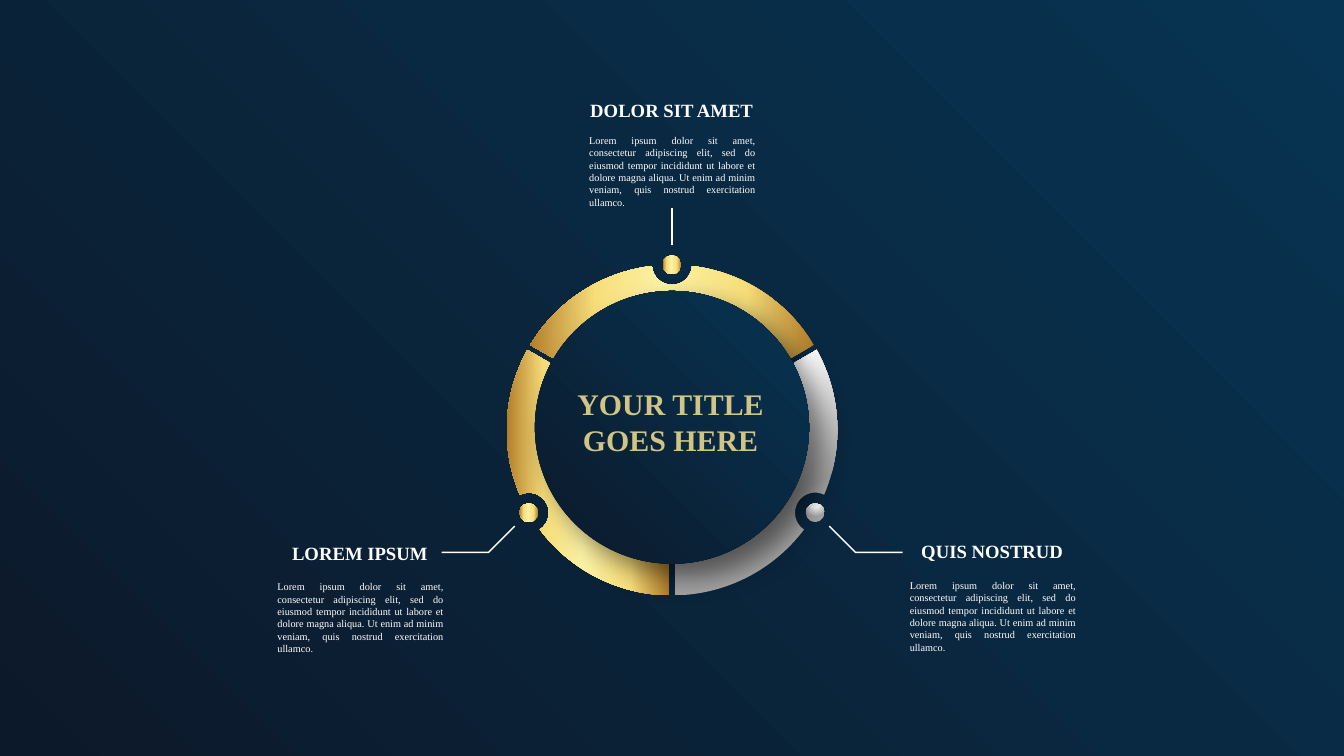
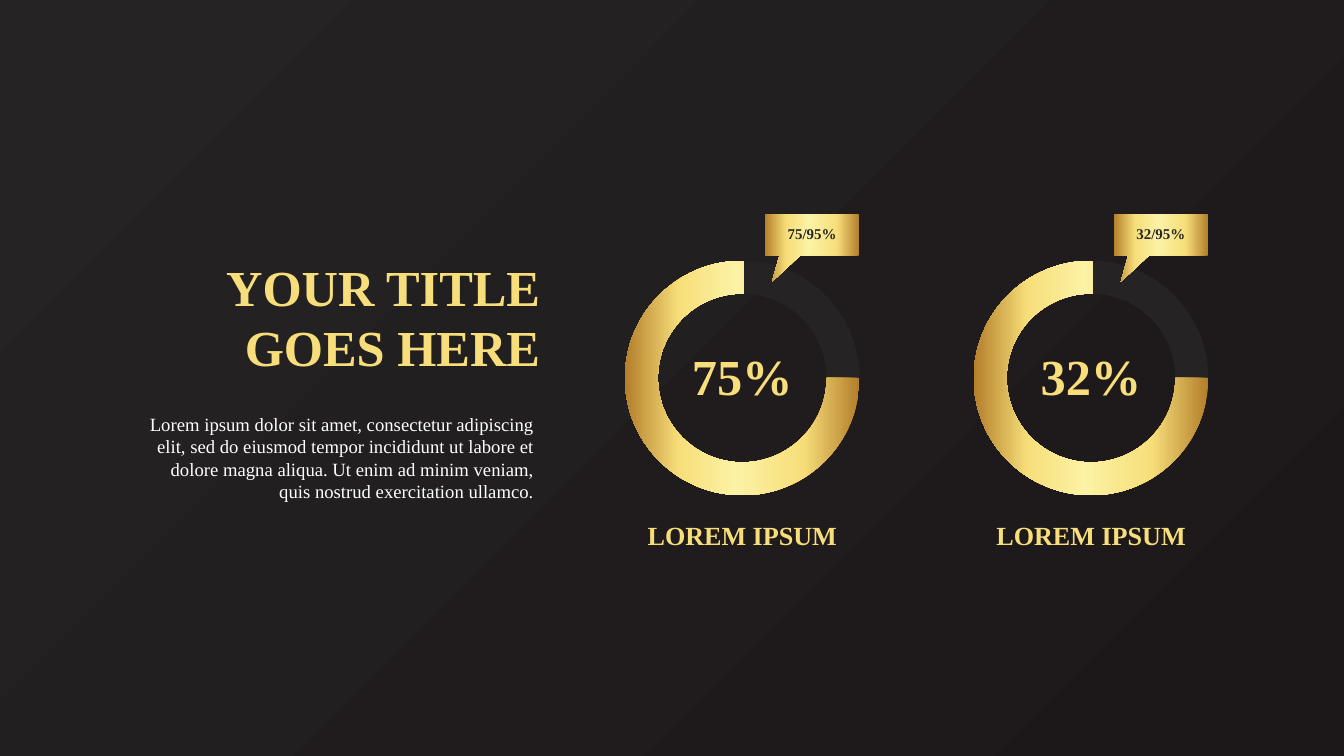
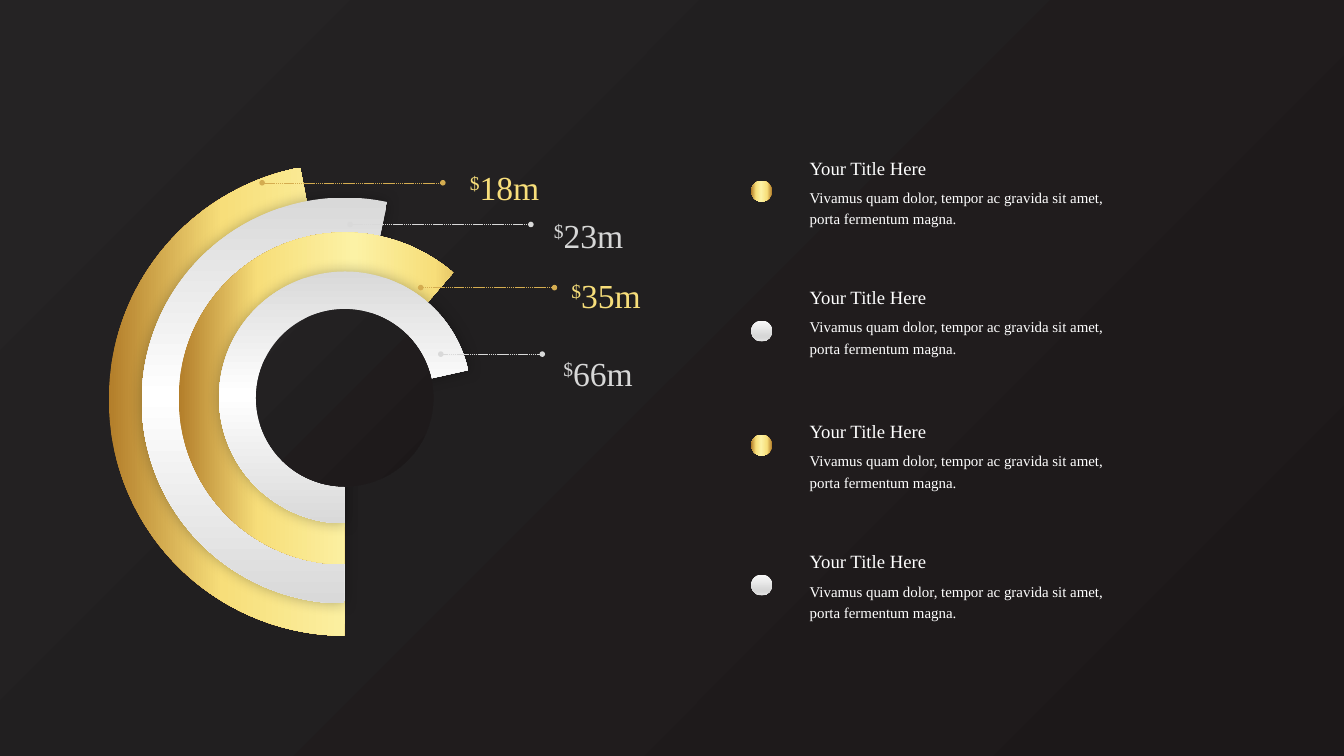
import math

import pptx
import pptx.dml.color
import pptx.enum.dml
import pptx.enum.shapes
import pptx.enum.text
import pptx.oxml
import pptx.oxml.ns
import pptx.util

Inches = pptx.util.Inches
SHAPE = pptx.enum.shapes.MSO_SHAPE
ALIGN = pptx.enum.text.PP_ALIGN
qn = pptx.oxml.ns.qn
NS = pptx.oxml.ns.nsdecls("a")

WHITE = "FFFFFF"
DARK = "252324"
INK = "262626"
BRONZE = "D4AC50"
GREY = "D9D9D9"
PALE_GOLD = "F7DE7A"


def linear(angle, *stops):
    return stops, f'<a:lin ang="{angle * 60000}" scaled="0"/>'


def radial(focus, *stops):
    sides = " ".join(f'{k}="{v * 1000}"' for k, v in zip("ltrb", focus))
    return stops, f'<a:path path="circle"><a:fillToRect {sides}/></a:path>'


GOLD = linear(180, (0, "B37E2A"), (24, PALE_GOLD), (53, "FCF2A5"), (77, PALE_GOLD), (100, "B37E2A"))
SILVER = linear(90, (0, GREY), (49, WHITE), (100, GREY))
PEARL = linear(90, (0, "FAFAFA"), (74, "D7D7D7"), (83, "D7D7D7"), (100, "E4E4E4"))
STEEL = radial((50, -80, 50, 180), (0, WHITE), (35, WHITE), (100, "A5A5A5"))
NAVY = radial((100, 0, 0, 100), (0, "073453"), (100, "0C192A"))
OLD_GOLD = radial((100, 0, 0, 100), (0, "D1C585"), (99, "7E592B"))
CHARCOAL = radial((100, 100, 0, 0), (0, "1C1819"), (100, DARK))

LOREM = ("Lorem ipsum dolor sit amet, consectetur adipiscing elit, sed do eiusmod tempor "
         "incididunt ut labore et dolore magna aliqua. Ut enim ad minim veniam, quis nostrud "
         "exercitation ullamco.")
VIVAMUS = "Vivamus quam dolor, tempor ac gravida sit amet, porta fermentum magna."


def paint(fill, colour):
    if isinstance(colour, str):
        fill.solid()
        fill.fore_color.rgb = pptx.dml.color.RGBColor.from_string(colour)
        return
    stops, direction = colour
    marks = "".join(f'<a:gs pos="{pos * 1000}"><a:srgbClr val="{c}"/></a:gs>' for pos, c in stops)
    xml = f'<a:gradFill {NS} rotWithShape="1"><a:gsLst>{marks}</a:gsLst>{direction}</a:gradFill>'
    fill.background()
    parent = fill._xPr
    parent.replace(parent.find(qn("a:noFill")), pptx.oxml.parse_xml(xml))


def polar(cx, cy, radius, angle):
    a = math.radians(angle)
    return cx + radius * math.cos(a), cy - radius * math.sin(a)


def corners(*points):
    return [(point,) for point in points]


def arc(cx, cy, radius, *angles):
    steps = corners(polar(cx, cy, radius, angles[0]))
    for a, b in zip(angles, angles[1:]):
        reach = 4 / 3 * math.tan(math.radians(b - a) / 4) * radius
        start, end = polar(cx, cy, radius, a), polar(cx, cy, radius, b)
        steps.append((polar(*start, reach, a + 90), polar(*end, reach, b - 90), end))
    return steps


def with_quarters(start, end):
    return [start, *(q for q in range(0, 450, 90) if start < q < end), end]


class Deck:
    font = "Times New Roman"

    def __init__(self):
        self.prs = pptx.Presentation()
        self.prs.slide_width = Inches(20)
        self.prs.slide_height = Inches(11.25)

    def new_slide(self, background):
        self.slide = self.prs.slides.add_slide(self.prs.slide_layouts[6])
        paint(self.slide.background.fill, background)

    def shape(self, kind, at, fill, adjust=(), flip=False, shadow=None):
        s = self.slide.shapes.add_shape(kind, *map(Inches, at))
        for i, value in enumerate(adjust):
            s.adjustments[i] = value
        s.line.fill.background()
        paint(s.fill, fill)
        s.shadow.inherit = False
        if flip:
            s._element.spPr.find(qn("a:xfrm")).set("flipH", "1")
        if shadow:
            alpha, blur, dist, angle = shadow
            s._element.spPr.find(qn("a:effectLst")).append(pptx.oxml.parse_xml(
                f'<a:outerShdw {NS} blurRad="{blur * 12700}" dist="{dist * 12700}" '
                f'dir="{angle * 60000}" algn="ctr" rotWithShape="0"><a:srgbClr val="000000">'
                f'<a:alpha val="{alpha * 1000}"/></a:srgbClr></a:outerShdw>'))

    def outline(self, steps, fill=None, line=None):
        start, *rest = [tuple(map(Inches, step[-1])) for step in steps]
        builder = self.slide.shapes.build_freeform(*start)
        builder.add_line_segments(rest, close=fill is not None)
        s = builder.convert_to_shape()
        straight = list(s._element.iter(qn("a:lnTo")))
        for element, step in zip(straight, steps[1:]):
            if len(step) == 3:
                points = "".join(f'<a:pt x="{Inches(x) - s.left}" y="{Inches(y) - s.top}"/>'
                                 for x, y in step)
                element.getparent().replace(element, pptx.oxml.parse_xml(
                    f"<a:cubicBezTo {NS}>{points}</a:cubicBezTo>"))
        s.shadow.inherit = False
        if fill:
            paint(s.fill, fill)
        else:
            s.fill.background()
        if line:
            paint(s.line.fill, line)
            s.line.width = pptx.util.Pt(1.5)
        else:
            s.line.fill.background()

    def line(self, start, end, colour, width, dotted=False):
        s = self.slide.shapes.add_connector(
            pptx.enum.shapes.MSO_CONNECTOR.STRAIGHT, *map(Inches, (*start, *end)))
        paint(s.line.fill, colour)
        s.line.width = pptx.util.Pt(width)
        if dotted:
            s.line.dash_style = pptx.enum.dml.MSO_LINE.SQUARE_DOT
            for tag in ("headEnd", "tailEnd"):
                s.line._ln.append(pptx.oxml.parse_xml(f'<a:{tag} {NS} type="oval"/>'))
        s._element.spPr.append(pptx.oxml.parse_xml(f"<a:effectLst {NS}/>"))

    def text(self, at, lines, size, colour=WHITE, align=ALIGN.LEFT, bold=False,
             wrap=True, inset=True, spacing=None):
        tf = self.slide.shapes.add_textbox(*map(Inches, at)).text_frame
        tf.word_wrap = wrap
        tf.auto_size = pptx.enum.text.MSO_AUTO_SIZE.SHAPE_TO_FIT_TEXT
        if not inset:
            tf.margin_left = tf.margin_right = tf.margin_top = tf.margin_bottom = 0
        for i, content in enumerate(lines):
            p = tf.add_paragraph() if i else tf.paragraphs[0]
            p.alignment = align
            if spacing:
                p.line_spacing = spacing
            p.font.size = pptx.util.Pt(size)
            p.font.name = self.font
            p.font.bold = bold
            paint(p.font.fill, colour)
            p.add_run().text = content
        return tf

    def amount(self, x, y, value, colour):
        tf = self.text((x, y, 1.96, 0.76), ["$"], 36, colour, ALIGN.CENTER, spacing=1.2)
        p = tf.paragraphs[0]
        p.runs[0]._r.get_or_add_rPr().set("baseline", "30000")
        p.add_run().text = value

    def ring_sector(self, angle, fill):
        cx, cy, radius = 10, 6.4, 2.46
        x, y = polar(cx, cy, radius, angle)
        self.shape(SHAPE.OVAL, (x - 0.14, y - 0.14, 0.28, 0.28), fill)
        self.outline([*corners(polar(cx, cy, 0.06, angle)),
                      *arc(cx, cy, radius, *with_quarters(angle - 59, angle - 7)),
                      *arc(x, y, 0.3, angle - 94, angle - 180, angle - 266),
                      *arc(cx, cy, radius, *with_quarters(angle + 7, angle + 59))], fill)

    def dial(self, x, value):
        size, band = 3.49, 0.49
        radius = size / 2
        cx, top = x + radius, 3.88
        cy = top + radius
        clockwise = (0, -90, -180, -270)
        self.text((x + 0.87, 5.08, 1.75, 1.01), [f"{value}%"], 54, GOLD, ALIGN.CENTER,
                  bold=True, wrap=False)
        self.shape(SHAPE.DONUT, (x, top, size, size), DARK, (band / size,))
        self.outline([*arc(cx, cy, radius, *clockwise),
                      *corners((cx + 0.02, top), (cx + 0.02, top + band)),
                      *arc(cx, cy, radius - band, *reversed(clockwise))], GOLD)
        left, right, roof, floor = x + 2.08, x + size, 3.19, 3.8
        self.outline(corners((right, roof), (left, roof), (left, floor), (left + 0.22, floor),
                             (left + 0.11, 4.19), (left + 0.53, floor), (right, floor)), GOLD)
        self.text((x + 2.27, 3.3, 1.03, 0.37), [f"{value}/95%"], 16, INK, ALIGN.CENTER, bold=True)
        self.text((x, 7.68, size, 0.57), ["LOREM IPSUM"], 28, GOLD, ALIGN.CENTER, bold=True)


def ring_slide(deck):
    deck.new_slide(NAVY)
    for angle, fill in ((90, GOLD), (210, GOLD), (330, STEEL)):
        deck.ring_sector(angle, fill)
    for side in (1, -1):
        deck.outline(corners(*((10 + side * dx, y)
                               for dx, y in ((2.34, 7.83), (2.73, 8.22), (3.43, 8.22)))),
                     line=WHITE)
    deck.line((10, 3.64), (10, 3.09), WHITE, 1.5)
    for x, body_y, title_y, title in ((4.03, 8.59, 8.01, "LOREM IPSUM"),
                                      (8.67, 1.95, 1.42, "DOLOR SIT AMET"),
                                      (13.44, 8.57, 7.99, "QUIS NOSTRUD")):
        deck.text((x, body_y, 2.67, 1.03), [LOREM], 11, align=ALIGN.JUSTIFY)
        deck.text((x - 0.01, title_y, 2.67, 0.44), [title], 20, align=ALIGN.CENTER, bold=True)
    deck.shape(SHAPE.OVAL, (7.96, 4.33, 4.08, 4.06), NAVY, shadow=(50, 30, 20, 45))
    deck.text((8.58, 5.74, 2.8, 1.08), ["YOUR TITLE", "GOES HERE"], 32, OLD_GOLD, ALIGN.CENTER,
              bold=True, wrap=False, inset=False)


def dial_slide(deck):
    deck.new_slide(CHARCOAL)
    for x, value in ((9.3, 75), (14.49, 32)):
        deck.dial(x, value)
    deck.text((2.12, 6.09, 5.92, 1.45), [LOREM], 20, align=ALIGN.RIGHT)
    deck.text((3.32, 3.81, 4.72, 1.82), ["YOUR TITLE", "GOES HERE"], 54, GOLD, ALIGN.RIGHT,
              bold=True, wrap=False, inset=False)


def arcs_slide(deck):
    deck.new_slide(CHARCOAL)
    soft = (28, 15, 0, 0)
    for left, top, size, start, fill, shadow in (
            (1.62, 2.43, 7.03, 168.58, GOLD, None), (2.11, 2.94, 6.04, 154.73, SILVER, soft),
            (2.66, 3.46, 4.94, 137.56, GOLD, None), (3.26, 4.04, 3.75, 115.53, SILVER, soft)):
        deck.shape(SHAPE.PIE, (left, top, size, size), fill, (start, 53.88), True, shadow)
    deck.shape(SHAPE.OVAL, (3.81, 4.6, 2.64, 2.64), CHARCOAL, flip=True)
    for start, end, y, colour in ((3.9, 6.59, 2.72, BRONZE), (5.21, 7.9, 3.34, GREY),
                                  (6.26, 8.25, 4.28, BRONZE), (6.56, 8.07, 5.27, GREY)):
        deck.line((start, y), (end, y), colour, 0.5, dotted=True)
    for x, y, value, colour in ((6.53, 2.31, "18m", GOLD), (7.78, 3.03, "23m", PEARL),
                                (8.04, 3.92, "35m", GOLD), (7.92, 5.08, "66m", PEARL)):
        deck.amount(x, y, value, colour)
    for title_y, body_y, dot_y, fill in ((2.22, 2.7, 2.69, GOLD), (4.14, 4.63, 4.77, PEARL),
                                         (6.13, 6.62, 6.47, GOLD), (8.07, 8.56, 8.55, PEARL)):
        deck.text((11.95, title_y, 3.73, 0.47), ["Your Title Here"], 20, spacing=1.2)
        deck.text((11.95, body_y, 4.74, 0.75), [VIVAMUS], 16, spacing=1.2)
        deck.shape(SHAPE.OVAL, (11.18, dot_y, 0.31, 0.31), fill)


def main():
    deck = Deck()
    ring_slide(deck)
    dial_slide(deck)
    arcs_slide(deck)
    deck.prs.save("out.pptx")


if __name__ == "__main__":
    main()
